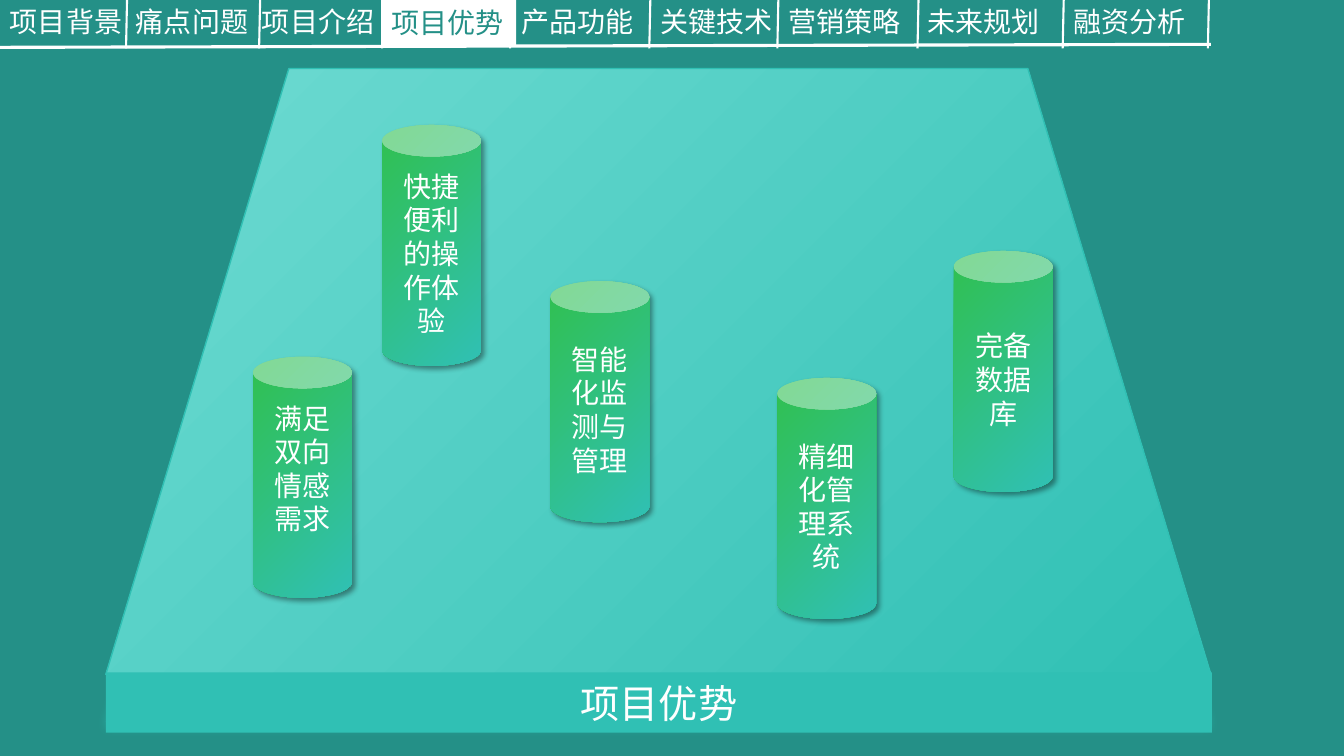
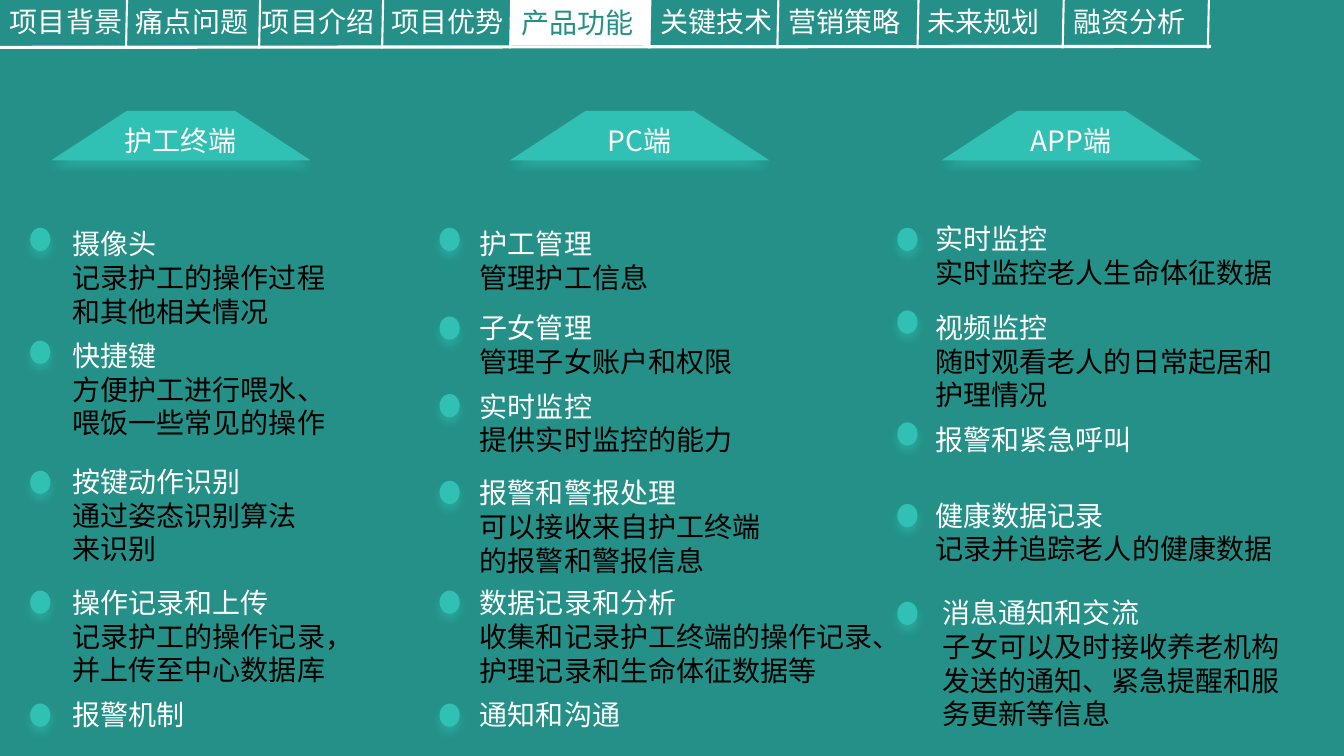
from lxml import etree
from pptx import Presentation
from pptx.dml.color import RGBColor
from pptx.enum.shapes import MSO_CONNECTOR as Connector, MSO_SHAPE as Preset
from pptx.enum.text import MSO_ANCHOR as Anchor, MSO_AUTO_SIZE as AutoSize, PP_ALIGN as Align
from pptx.oxml.ns import qn
from pptx.util import Emu, Inches, Pt

# Shared look
FONT = "Noto Sans CJK JP"
DEEP_TEAL = RGBColor(0x24, 0x90, 0x87)
TEAL = RGBColor(0x30, 0xC0, 0xB4)
PALE_TEAL = RGBColor(0x6E, 0xDB, 0xD2)
GREEN = RGBColor(0x30, 0xC0, 0x4F)
WHITE = RGBColor(0xFF, 0xFF, 0xFF)
BLACK = RGBColor(0, 0, 0)

# Shadow: colour, opacity %, blur pt, distance pt, direction in degrees
GLOW = (TEAL, 60, 8, 4, 90)
DROP = (BLACK, 40, 4, 3, 45)

deck = Presentation()
deck.slide_width, deck.slide_height = Inches(13.33), Inches(7.5)
COLUMN = deck.slide_width / 13.33
ROW = deck.slide_height / 7.5
LINE_ROWS = 1 / 3  # one 20 pt line of text


def grid(*cells):
    """Turn column, row, columns wide, rows high into lengths."""
    return [Emu(int(cell * unit)) for cell, unit in zip(cells, (COLUMN, ROW) * 2)]


def write(para, text, color=WHITE, size=20):
    """Add one run in the shared font."""
    span = para.add_run()
    span.text = text
    font = span.font
    font.name, font.size, font.bold = FONT, Pt(size), False
    font.color.rgb = color
    etree.SubElement(font._element, qn("a:ea"), typeface=FONT)


# Background and pages
background = deck.slide_master.background.fill
background.solid()
background.fore_color.rgb = DEEP_TEAL
advantages = deck.slides.add_slide(deck.slide_layouts[5])
functions = deck.slides.add_slide(deck.slide_layouts[4])
shadowed = []  # (shape, shadow or None)

# Navigation tabs: label, text column, divider column on the right
TABS = [
    ("项目背景", 0, 1.26), ("痛点问题", 1.25, 2.58), ("项目介绍", 2.5, 3.8),
    ("项目优势", 3.78, 5.07), ("产品功能", 5.07, 6.45), ("关键技术", 6.45, 7.72),
    ("营销策略", 7.72, 9.11), ("未来规划", 9.1, 10.55), ("融资分析", 10.55, 11.99),
]
for page, active, active_width, rule_end in (
    (advantages, "项目优势", 1.34, 0.44),
    (functions, "产品功能", 1.38, 0.46),
):
    rules = [((0, 0.47, 12.01, rule_end), 2.25)]
    rules += [((edge, 0, edge - 0.01, 0.48), 1.5) for _, _, edge in TABS]
    for ends, weight in rules:
        rule = page.shapes.add_connector(Connector.STRAIGHT, *grid(*ends))
        rule.line.color.rgb = WHITE
        rule.line.width = Pt(weight)
        etree.SubElement(rule._element.spPr, qn("a:effectLst"))

    for label, left, _ in TABS:
        if label == active:
            box = page.shapes.title
            box.left, box.top, box.width, box.height = grid(left, 0, active_width, 0.45)
            box.fill.solid()
            box.fill.fore_color.rgb = WHITE
        else:
            box = page.shapes.add_textbox(*grid(left, 0, 1.38, 0.44))
        frame = box.text_frame
        frame.auto_size = AutoSize.NONE
        frame.word_wrap = False
        frame.vertical_anchor = Anchor.TOP
        para = frame.paragraphs[0]
        para.alignment = Align.LEFT
        write(para, label, DEEP_TEAL if label == active else WHITE)

# Platform: lower face, upper face, front edge
for kind, cells, shadow in (
    (Preset.TRAPEZOID, (1.05, 1.15, 10.96, 6.01), GLOW),
    (Preset.TRAPEZOID, (1.05, 0.68, 10.96, 6.01), None),
    (Preset.RECTANGLE, (1.05, 6.67, 10.97, 0.6), None),
):
    face = advantages.shapes.add_shape(kind, *grid(*cells))
    face.fill.solid()
    face.fill.fore_color.rgb = TEAL
    face.line.fill.background()
    shadowed.append((face, shadow))
    if kind == Preset.RECTANGLE:
        face.text_frame.vertical_anchor = Anchor.MIDDLE
        para = face.text_frame.paragraphs[0]
        para.alignment = Align.CENTER
        write(para, "项目优势", size=28)
        continue
    face.adjustments[0] = 0.302
    if shadow is None:
        face.fill.gradient()
        face.fill.gradient_angle = 315
        for stop, color in zip(face.fill.gradient_stops, (PALE_TEAL, TEAL)):
            stop.color.rgb = color
        face.line.color.rgb = TEAL
        face.line.width = Pt(1)

# Pillars: column, row, paragraphs, lines of lift
for left, top, texts, lift in (
    (2.51, 3.54, ["满足双向", "情感需求"], 1),
    (5.46, 2.79, ["智能化监测与管理"], 0),
    (9.46, 2.49, ["完备数据库"], 0),
    (3.79, 1.24, ["快捷便利的操作体验"], 0),
    (7.71, 3.75, ["精细化管理系统"], 0),
):
    pillar = advantages.shapes.add_shape(Preset.CAN, *grid(left, top, 0.98, 2.39))
    pillar.adjustments[0] = 0.319
    pillar.fill.gradient()
    pillar.fill.gradient_angle = 315
    for stop, color in zip(pillar.fill.gradient_stops, (GREEN, TEAL)):
        stop.color.rgb = color
    pillar.line.fill.background()
    shadowed.append((pillar, DROP))
    frame = pillar.text_frame
    frame.word_wrap = True
    frame.vertical_anchor = Anchor.MIDDLE
    frame.margin_bottom = Emu(int((0.05 + lift * LINE_ROWS) * ROW))
    for index, text in enumerate(texts):
        para = frame.add_paragraph() if index else frame.paragraphs[0]
        para.alignment = Align.CENTER
        write(para, text)

# Function lists: heading, its column, dot column, text column, width, items
# Item: text row, dot row, lines used, indent, title, details
LISTS = [
    ("护工终端", 0.51, 0.3, 0.62, 3.7, [
        (2.2, 2.26, 3, 0, "摄像头", ["记录护工的操作过程", "和其他相关情况"]),
        (3.31, 3.38, 3, 0, "快捷键", ["方便护工进行喂水、", "喂饭一些常见的操作"]),
        (4.56, 4.67, 3, 0, "按键动作识别", ["通过姿态识别算法", "来识别"]),
        (5.76, 5.86, 3, 0, "操作记录和上传", ["记录护工的操作记录，", "并上传至中心数据库"]),
        (6.87, 6.98, 1, 0, "报警机制", []),
    ]),
    ("PC端", 5.06, 4.36, 4.66, 4.44, [
        (2.2, 2.26, 2, 0, "护工管理", ["管理护工信息"]),
        (3.03, 3.14, 2, 0, "子女管理", ["管理子女账户和权限"]),
        (3.81, 3.91, 2, 0, "实时监控", ["提供实时监控的能力"]),
        (4.67, 4.77, 3, 0, "报警和警报处理", ["可以接收来自护工终端", "的报警和警报信息"]),
        (5.76, 5.86, 3, 0, "数据记录和分析",
         ["收集和记录护工终端的操作记录、护理记录和生命体征数据等"]),
        (6.87, 6.98, 1, 0, "通知和沟通", []),
    ]),
    ("APP端", 9.34, 8.9, 9.18, 4.1, [
        (2.15, 2.26, 2, 0, "实时监控", ["实时监控老人生命体征数据"]),
        (3.03, 3.08, 3, 0, "视频监控", ["随时观看老人的日常起居和", "护理情况"]),
        (4.14, 4.19, 1, 0, "报警和紧急呼叫", []),
        (4.89, 5, 2, 0, "健康数据记录", ["记录并追踪老人的健康数据"]),
        (5.86, 5.97, 4, 0.07, "消息通知和交流",
         ["子女可以及时接收养老机构", "发送的通知、紧急提醒和服", "务更新等信息"]),
    ]),
]
*bodies, spare = list(functions.placeholders)[1:]
spare._element.getparent().remove(spare._element)

for body, (heading, banner_left, dot_left, left, width, items) in zip(bodies, LISTS):
    # Heading banner and dots
    marks = [(Preset.TRAPEZOID, (banner_left, 1.1, 2.57, 0.49))]
    marks += [(Preset.OVAL, (dot_left, item[1], 0.2, 0.23)) for item in items]
    for kind, cells in marks:
        mark = functions.shapes.add_shape(kind, *grid(*cells))
        mark.fill.solid()
        mark.fill.fore_color.rgb = TEAL
        mark.line.fill.background()
        shadowed.append((mark, GLOW))
        if kind == Preset.TRAPEZOID:
            mark.adjustments[0] = 1.528
            mark.text_frame.vertical_anchor = Anchor.MIDDLE
            para = mark.text_frame.paragraphs[0]
            para.alignment = Align.CENTER
            write(para, heading)

    # List text, with the gap between items as paragraph spacing
    first_row = items[0][0]
    body.left, body.top, body.width, body.height = grid(left, first_row, width, 7.4 - first_row)
    frame = body.text_frame
    frame.auto_size = AutoSize.NONE
    frame.word_wrap = True
    frame.vertical_anchor = Anchor.TOP
    para = frame.paragraphs[0]
    next_row = first_row
    for row, _, lines, indent, title, details in items:
        for index, text in enumerate([title, *details]):
            if para is None:
                para = frame.add_paragraph()
            para.alignment = Align.LEFT
            para.space_before = Emu(0 if index else max(0, round((row - next_row) * ROW)))
            para.space_after = Pt(0)
            settings = para._element.get_or_add_pPr()
            settings.set("marL", str(int(indent * COLUMN)))
            settings.set("indent", "0")
            etree.SubElement(settings, qn("a:buNone"))
            write(para, text, BLACK if index else WHITE)
            para = None
        next_row = row + lines * LINE_ROWS

# Shadows
for shape, shadow in shadowed:
    shape.shadow.inherit = False
    if shadow:
        color, opacity, blur, distance, direction = shadow
        effects = shape._element.spPr.find(qn("a:effectLst"))
        outer = etree.SubElement(
            effects, qn("a:outerShdw"), blurRad=str(Pt(blur)), dist=str(Pt(distance)),
            dir=str(direction * 60000), algn="ctr", rotWithShape="0")
        tint = etree.SubElement(outer, qn("a:srgbClr"), val=str(color))
        etree.SubElement(tint, qn("a:alpha"), val=str(opacity * 1000))

deck.save("out.pptx")
